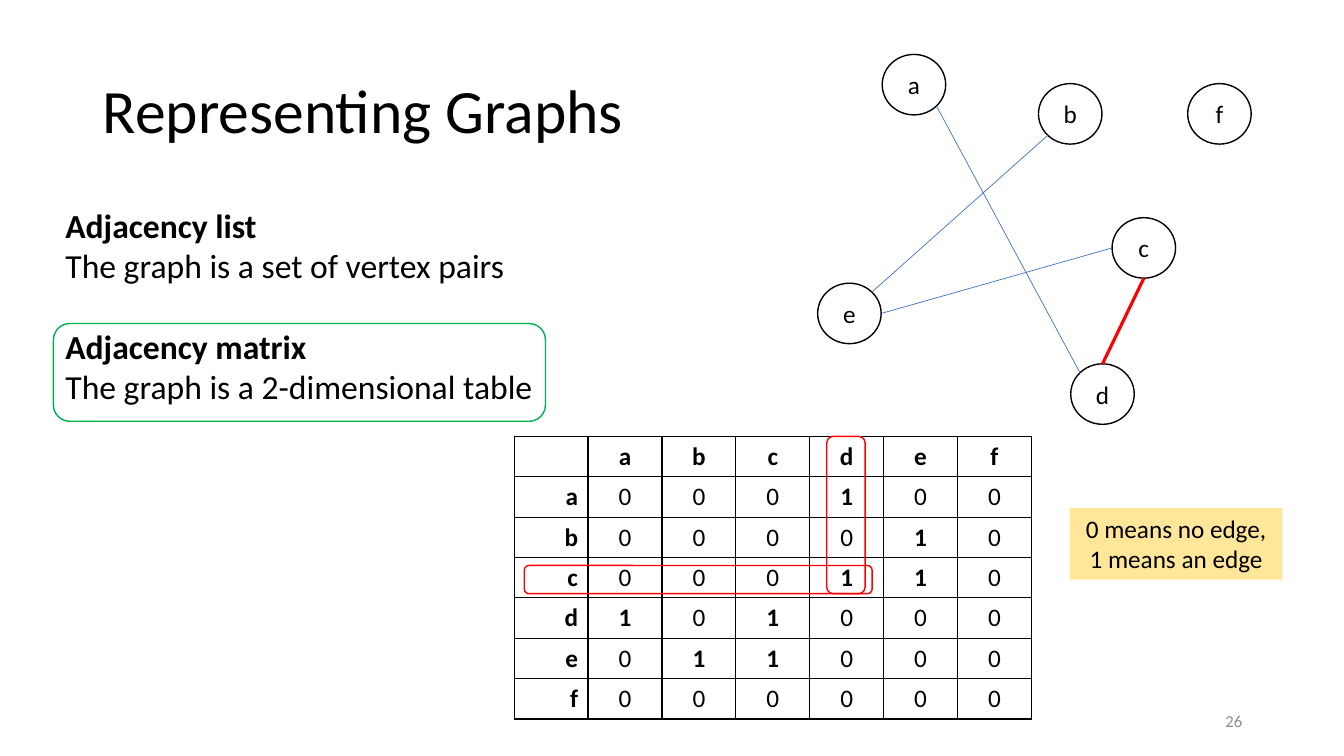
import pptx
import pptx.dml.color
import pptx.enum.shapes
import pptx.enum.text
import pptx.oxml
import pptx.oxml.ns
import pptx.util
from pptx.util import Inches

BLACK = pptx.dml.color.RGBColor(0x00, 0x00, 0x00)
GRAY = pptx.dml.color.RGBColor(0x8C, 0x8C, 0x8C)
BLUE = pptx.dml.color.RGBColor(0x44, 0x72, 0xC4)
RED = pptx.dml.color.RGBColor(0xFF, 0x00, 0x00)
GREEN = pptx.dml.color.RGBColor(0x00, 0xB0, 0x50)
YELLOW = pptx.dml.color.RGBColor(0xFF, 0xE6, 0x99)

SHAPE = pptx.enum.shapes.MSO_SHAPE
LEFT = pptx.enum.text.PP_ALIGN.LEFT
CENTER = pptx.enum.text.PP_ALIGN.CENTER
RIGHT = pptx.enum.text.PP_ALIGN.RIGHT
MIDDLE = pptx.enum.text.MSO_ANCHOR.MIDDLE

VERTEX_WIDTH, VERTEX_HEIGHT = 0.63, 0.6
VERTICES = {
    "a": (8.75, 0.54),
    "b": (10.3, 0.83),
    "c": (11.03, 2.16),
    "d": (10.62, 3.61),
    "e": (8.11, 2.81),
    "f": (11.78, 0.83),
}
# Where an edge meets a vertex, as a fraction of its half width and half height
SITES = {
    "N": (0, -1), "S": (0, 1), "W": (-1, 0), "E": (1, 0),
    "NW": (-0.71, -0.71), "NE": (0.71, -0.71),
    "SW": (-0.71, 0.71), "SE": (0.71, 0.71),
}
EDGES = [
    ("c", "S", "d", "N", RED, 2.25),
    ("a", "SE", "d", "NW", BLUE, 0.5),
    ("e", "E", "c", "W", BLUE, 0.5),
    ("b", "SW", "e", "NE", BLUE, 0.5),
]


def write_text(paragraph, text, size=18, color=BLACK, bold=False, align=LEFT):
    paragraph.alignment = align
    run = paragraph.add_run()
    run.text = text
    run.font.name = "Calibri"
    run.font.size = pptx.util.Pt(size)
    run.font.color.rgb = color
    run.font.bold = bold


def add_text_box(slide, box, wrap=True):
    frame = slide.shapes.add_textbox(*map(Inches, box)).text_frame
    frame.word_wrap = wrap
    return frame


def add_outline(slide, kind, box, color):
    """Add an unfilled shape with a 1 pt line."""
    shape = slide.shapes.add_shape(kind, *map(Inches, box))
    shape.shadow.inherit = False
    shape.fill.background()
    shape.line.color.rgb = color
    shape.line.width = pptx.util.Pt(1)
    return shape


def add_title(slide, box):
    frame = add_text_box(slide, box)
    frame.vertical_anchor = MIDDLE
    frame.paragraphs[0].line_spacing = 0.9
    write_text(frame.paragraphs[0], "Representing Graphs", size=44)


def add_page_number(slide, box):
    frame = add_text_box(slide, box)
    frame.vertical_anchor = MIDDLE
    write_text(frame.paragraphs[0], "26", size=12, color=GRAY, align=RIGHT)


def add_representations(slide, box):
    frame = add_text_box(slide, box, wrap=False)
    first, second = frame.paragraphs[0], frame.add_paragraph()
    second.space_before = pptx.util.Pt(29)
    for paragraph, heading, description in (
        (first, "Adjacency list", "The graph is a set of vertex pairs"),
        (second, "Adjacency matrix", "The graph is a 2-dimensional table"),
    ):
        write_text(paragraph, heading, size=24, bold=True)
        paragraph.add_line_break()
        write_text(paragraph, description, size=24)
    left, top, width, _ = box
    add_outline(slide, SHAPE.ROUNDED_RECTANGLE, (left - 0.02, top + 1.23, width, 0.97), GREEN)


def edge_end(vertex, site):
    left, top = VERTICES[vertex]
    across, down = SITES[site]
    return (Inches(left + VERTEX_WIDTH / 2 * (1 + across)),
            Inches(top + VERTEX_HEIGHT / 2 * (1 + down)))


def add_graph(slide):
    for name, (left, top) in VERTICES.items():
        circle = add_outline(slide, SHAPE.OVAL, (left, top, VERTEX_WIDTH, VERTEX_HEIGHT), BLACK)
        frame = circle.text_frame
        frame.margin_left = frame.margin_right = frame.margin_top = frame.margin_bottom = 0
        frame.vertical_anchor = MIDDLE
        write_text(frame.paragraphs[0], name, align=CENTER)
    for start, start_site, end, end_site, color, width in EDGES:
        edge = slide.shapes.add_connector(
            pptx.enum.shapes.MSO_CONNECTOR.STRAIGHT,
            *edge_end(start, start_site), *edge_end(end, end_site))
        edge.line.color.rgb = color
        edge.line.width = pptx.util.Pt(width)
        edge._element.spPr.append(pptx.oxml.parse_xml(
            f'<a:effectLst {pptx.oxml.ns.nsdecls("a")}/>'))


def add_cell_borders(cell):
    properties = cell._tc.get_or_add_tcPr()
    for position, side in enumerate(("lnL", "lnR", "lnT", "lnB")):
        properties.insert(position, pptx.oxml.parse_xml(
            f'<a:{side} {pptx.oxml.ns.nsdecls("a")} w="12700"><a:solidFill>'
            f'<a:srgbClr val="{BLACK}"/></a:solidFill></a:{side}>'))


def add_matrix(slide, box):
    """Add the adjacency matrix, worked out from the edges, and mark edge c-d."""
    names = list(VERTICES)
    pairs = {frozenset((edge[0], edge[2])) for edge in EDGES}
    rows = [[""] + names]
    for name in names:
        rows.append([name] + [str(int(frozenset((name, other)) in pairs)) for other in names])

    size = len(rows)
    left, top, width, height = box
    table = slide.shapes.add_table(size, size, *map(Inches, box)).table
    for column in table.columns:
        column.width = Inches(width / size)
    for row_index, row in enumerate(rows):
        table.rows[row_index].height = Inches(height / size)
        for column_index, value in enumerate(row):
            cell = table.cell(row_index, column_index)
            cell.fill.background()
            add_cell_borders(cell)
            if value:
                is_row_name = column_index == 0
                write_text(cell.text_frame.paragraphs[0], value, bold=value != "0",
                           align=RIGHT if is_row_name else CENTER)

    for mark in ((left + 0.1, top + 1.28, 3.45, 0.28), (left + 3.1, top, 0.38, 1.56)):
        add_outline(slide, SHAPE.ROUNDED_RECTANGLE, mark, RED)


def add_legend(slide, box):
    shape = slide.shapes.add_shape(SHAPE.RECTANGLE, *map(Inches, box))
    shape.shadow.inherit = False
    shape.fill.solid()
    shape.fill.fore_color.rgb = YELLOW
    shape.line.fill.background()
    shape.text_frame.word_wrap = True
    shape.text_frame.vertical_anchor = pptx.enum.text.MSO_ANCHOR.TOP
    write_text(shape.text_frame.paragraphs[0], "0 means no edge, 1 means an edge", align=CENTER)


def main():
    presentation = pptx.Presentation()
    presentation.slide_width = Inches(13.33)
    presentation.slide_height = Inches(7.5)
    slide = presentation.slides.add_slide(presentation.slide_layouts[6])
    add_title(slide, (0.92, 0.4, 5.43, 1.45))
    add_page_number(slide, (9.42, 6.95, 3, 0.4))
    add_representations(slide, (0.55, 1.98, 4.88, 2.12))
    add_graph(slide)
    add_matrix(slide, (5.1, 4.33, 5.13, 2.8))
    add_legend(slide, (10.61, 5.04, 2.11, 0.71))
    presentation.save("out.pptx")


if __name__ == "__main__":
    main()
